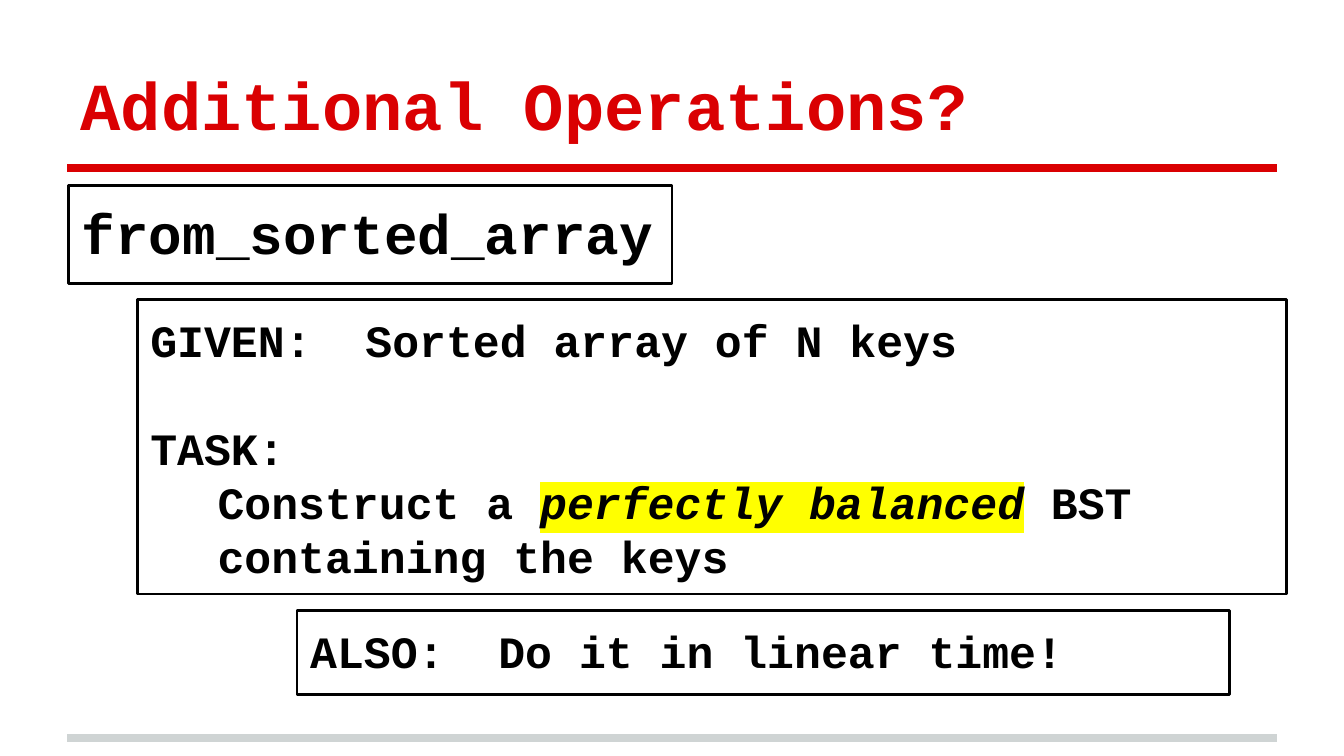
from dataclasses import dataclass

from lxml.etree import SubElement
from pptx import Presentation
from pptx.dml.color import RGBColor
from pptx.enum.shapes import MSO_CONNECTOR as Connector, MSO_SHAPE as Shape
from pptx.enum.text import MSO_ANCHOR as Anchor, PP_ALIGN as Align
from pptx.oxml import parse_xml
from pptx.oxml.ns import nsdecls, qn
from pptx.util import Inches, Pt

RED = RGBColor(0xDA, 0x00, 0x02)
GREY = RGBColor(0xCF, 0xD4, 0xD4)
BLACK = RGBColor(0x00, 0x00, 0x00)
YELLOW = RGBColor(0xFF, 0xFF, 0x00)
FONT = "Courier New"
INSET = Inches(0.1)


@dataclass
class Rule:
    y: float
    color: RGBColor


@dataclass
class Span:
    text: str
    marked: bool = False


@dataclass
class Line:
    spans: list[Span]
    indent: float = 0
    tab: float = 0
    before: float = 0


@dataclass
class Card:
    left: float
    top: float
    width: float
    height: float
    size: float
    lines: list[Line]


RULES = [Rule(5.49, GREY), Rule(1.25, RED)]

CARDS = [
    Card(0.51, 1.38, 4.49, 0.73, 30, [Line([Span("from_sorted_array")])]),
    Card(1.02, 2.23, 8.55, 2.19, 24, [
        Line([Span("GIVEN:\tSorted array of N keys")], tab=1.6),
        Line([Span("TASK:")], before=29),
        Line([Span("Construct a "), Span("perfectly balanced", marked=True),
              Span(" BST containing the keys")], indent=0.5),
    ]),
    Card(2.21, 4.54, 6.94, 0.63, 24,
         [Line([Span("ALSO:\tDo it in linear time!")], tab=1.4)]),
]


def add_rule(page, rule: Rule) -> None:
    y = Inches(rule.y)
    line = page.shapes.add_connector(Connector.STRAIGHT, Inches(0.5), y, Inches(9.5), y)
    line.line.color.rgb = rule.color
    line.line.width = Pt(4)
    SubElement(line._element.spPr, qn("a:effectLst"))


def add_span(para, text: str, *, size: float, color: RGBColor = BLACK,
             marked: bool = False) -> None:
    span = para.add_run()
    span.text = text
    font = span.font
    font.name, font.size, font.bold = FONT, Pt(size), True
    font.color.rgb = color
    if marked:
        font.italic = True
        fill = span._r.rPr.find(qn("a:solidFill"))
        fill.addnext(parse_xml(
            f'<a:highlight {nsdecls("a")}><a:srgbClr val="{YELLOW}"/></a:highlight>'))


def set_frame(box, anchor: Anchor):
    frame = box.text_frame
    frame.word_wrap = True
    frame.vertical_anchor = anchor
    frame.margin_left = frame.margin_right = INSET
    frame.margin_top = frame.margin_bottom = INSET
    return frame


def add_title(page, text: str) -> None:
    box = page.shapes.add_textbox(Inches(0.5), Inches(0.23), Inches(9), Inches(0.94))
    para = set_frame(box, Anchor.BOTTOM).paragraphs[0]
    add_span(para, text, size=36, color=RED)


def add_card(page, card: Card) -> None:
    box = page.shapes.add_shape(Shape.RECTANGLE, Inches(card.left), Inches(card.top),
                                Inches(card.width), Inches(card.height))
    box.shadow.inherit = False
    box.fill.background()
    box.line.color.rgb = BLACK
    box.line.width = Pt(1.5)
    frame = set_frame(box, Anchor.TOP)
    for number, line in enumerate(card.lines):
        para = frame.add_paragraph() if number else frame.paragraphs[0]
        para.alignment = Align.LEFT
        if line.before:
            para.space_before = Pt(line.before)
        props = para._p.get_or_add_pPr()
        if line.indent:
            props.set("marL", str(Inches(line.indent)))
        if line.tab:
            tabs = SubElement(props, qn("a:tabLst"))
            SubElement(tabs, qn("a:tab"), pos=str(Inches(line.tab)), algn="l")
        for span in line.spans:
            add_span(para, span.text, size=card.size, marked=span.marked)


def main() -> None:
    deck = Presentation()
    deck.slide_width, deck.slide_height = Inches(10), Inches(10 * 9 / 16)
    page = deck.slides.add_slide(deck.slide_layouts[6])

    # Rules under the title and at the foot
    for rule in RULES:
        add_rule(page, rule)

    # Title and outlined cards
    add_title(page, "Additional Operations?")
    for card in CARDS:
        add_card(page, card)

    deck.save("out.pptx")


if __name__ == "__main__":
    main()
